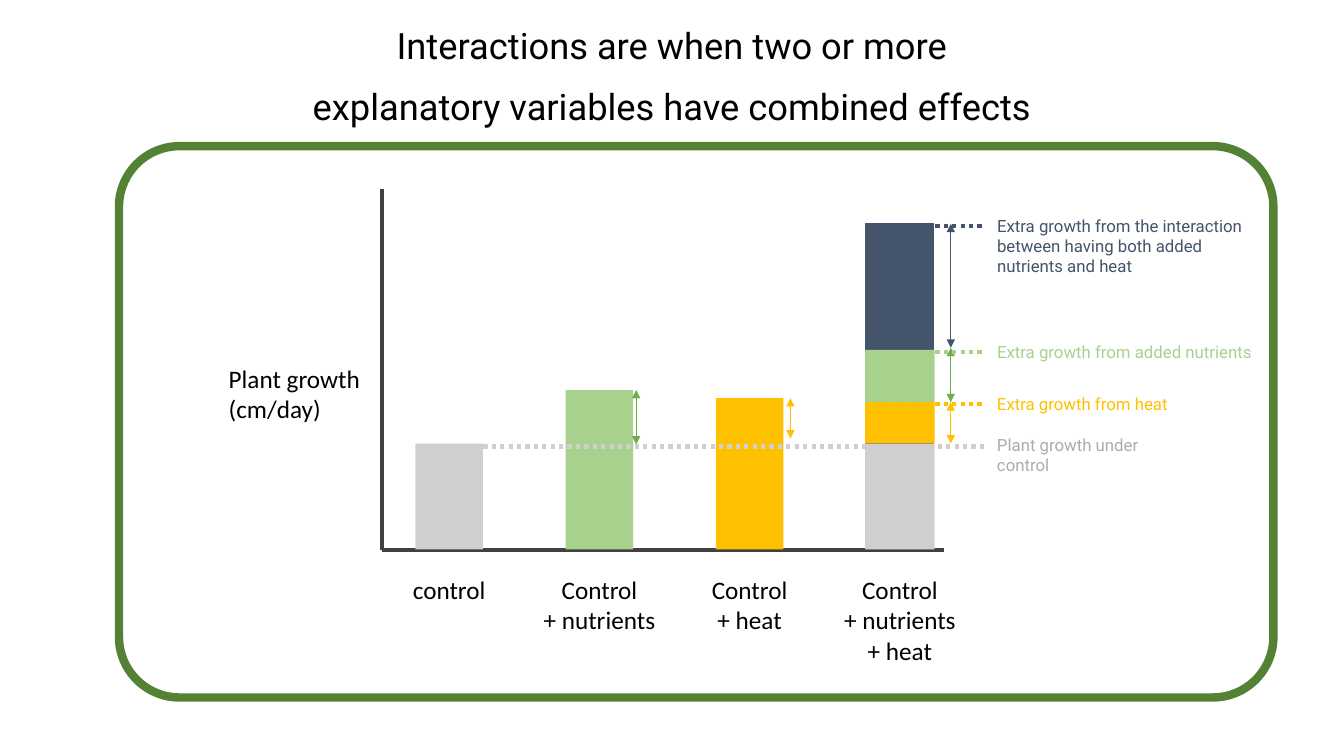
from dataclasses import dataclass

from lxml import etree
from pptx import Presentation
from pptx import util as u
from pptx.dml.color import RGBColor
from pptx.enum import dml, shapes, text
from pptx.oxml import ns

HUES = {
    "black": "000000", "frame": "548235", "axis": "404040",
    "grey": "D0CECE", "ash": "AFABAB", "green": "A9D18E",
    "leaf": "70AD47", "gold": "FFC000", "navy": "44546A",
}
BASE = 5.45
FIRST, PITCH, WIDE = 4.12, 1.49, 0.67
STACK = 8.58


@dataclass
class Bar:
    left: float
    top: float
    width: float
    height: float
    hue: str
    edge: str = ""


@dataclass
class Rule:
    x1: float
    y1: float
    x2: float
    y2: float
    hue: str
    size: float = 3
    dots: bool = False
    heads: bool = False


@dataclass
class Label:
    left: float
    top: float
    width: float
    height: float
    lines: list[str]
    hue: str = "black"
    font: str = "Calibri"
    size: float = 18
    mid: bool = False
    wrap: bool = False


def tint(name: str) -> RGBColor:
    return RGBColor.from_string(HUES[name])


def write(frame, lines: list[str], font: str, size: float, hue: str,
          align=text.PP_ALIGN.LEFT, space: float = 1.0) -> None:
    for i, line in enumerate(lines):
        para = frame.paragraphs[0] if i == 0 else frame.add_paragraph()
        para.alignment = align
        para.line_spacing = space
        run = para.add_run()
        run.text = line
        run.font.name = font
        run.font.size = u.Pt(size)
        run.font.color.rgb = tint(hue)


def add_bar(slide, bar: Bar) -> None:
    box = slide.shapes.add_shape(
        shapes.MSO_SHAPE.RECTANGLE, u.Inches(bar.left), u.Inches(bar.top),
        u.Inches(bar.width), u.Inches(bar.height))
    box.shadow.inherit = False
    box.fill.solid()
    box.fill.fore_color.rgb = tint(bar.hue)
    if bar.edge:
        box.line.color.rgb = tint(bar.edge)
        box.line.width = u.Pt(1)
    else:
        box.line.fill.background()


def add_rule(slide, rule: Rule) -> None:
    line = slide.shapes.add_connector(
        shapes.MSO_CONNECTOR.STRAIGHT, u.Inches(rule.x1), u.Inches(rule.y1),
        u.Inches(rule.x2), u.Inches(rule.y2))
    line.line.color.rgb = tint(rule.hue)
    line.line.width = u.Pt(rule.size)
    if rule.dots:
        line.line.dash_style = dml.MSO_LINE.ROUND_DOT
    if rule.heads:
        pen = line.line._get_or_add_ln()
        for tag in ("a:headEnd", "a:tailEnd"):
            etree.SubElement(pen, ns.qn(tag), type="triangle")
    etree.SubElement(line._element.spPr, ns.qn("a:effectLst"))


def add_label(slide, label: Label) -> None:
    box = slide.shapes.add_textbox(
        u.Inches(label.left), u.Inches(label.top),
        u.Inches(label.width), u.Inches(label.height))
    frame = box.text_frame
    frame.word_wrap = label.wrap
    frame.auto_size = text.MSO_AUTO_SIZE.SHAPE_TO_FIT_TEXT
    align = text.PP_ALIGN.CENTER if label.mid else text.PP_ALIGN.LEFT
    write(frame, label.lines, label.font, label.size, label.hue, align)


def add_title(slide) -> None:
    title = slide.shapes.title
    title.left, title.top = u.Inches(0), u.Inches(0)
    title.width, title.height = u.Inches(13.33), u.Inches(1.32)
    frame = title.text_frame
    frame.auto_size = text.MSO_AUTO_SIZE.NONE
    frame.vertical_anchor = text.MSO_ANCHOR.BOTTOM
    write(frame, ["Interactions are when two or more",
                  "explanatory variables have combined effects"],
          "Roboto", 25.9, "black", text.PP_ALIGN.CENTER, 1.4)


def add_frame(slide) -> None:
    box = slide.shapes.add_shape(
        shapes.MSO_SHAPE.ROUNDED_RECTANGLE, u.Inches(1.18), u.Inches(1.45),
        u.Inches(11.45), u.Inches(5.47))
    box.adjustments[0] = 0.11
    box.shadow.inherit = False
    box.fill.background()
    box.line.color.rgb = tint("frame")
    box.line.width = u.Pt(6)


def note(top: float, width: float, words: str, hue: str,
         height: float = 0.3, wrap: bool = False) -> Label:
    return Label(9.79, top, width, height, [words], hue, "Roboto", 12,
                 wrap=wrap)


def dots(left: float, y: float, hue: str) -> Rule:
    return Rule(left, y, 9.76, y, hue, dots=True)


def arrow(x: float, top: float, foot: float, hue: str) -> Rule:
    return Rule(x, top, x, foot, hue, 0.5, heads=True)


GROUPS = [  # bar top, hue, edge, label width, label lines
    (4.4, "grey", "", 0.93, ["control"]),
    (3.87, "green", "", 1.32, ["Control", "+ nutrients"]),
    (3.95, "gold", "", 0.96, ["Control", "+ heat"]),
    (2.22, "navy", "navy", 1.32, ["Control", "+ nutrients", "+ heat"]),
]
PARTS = [(3.99, 4.4, "gold"), (3.47, 3.99, "green"), (4.4, BASE, "grey")]
AXES = [Rule(3.79, 1.88, 3.79, 5.46, "axis"),
        Rule(9.36, 5.46, 3.79, 5.46, "axis")]
MARKS = [
    arrow(6.31, 3.87, 4.41, "leaf"),
    arrow(9.43, 3.45, 3.99, "leaf"),
    arrow(9.43, 3.99, 4.4, "gold"),
    arrow(7.84, 3.95, 4.35, "gold"),
    dots(4.46, 4.43, "grey"),
    dots(8.61, 4.01, "gold"),
    dots(8.61, 3.49, "green"),
    arrow(9.43, 2.22, 3.45, "navy"),
    dots(8.61, 2.24, "navy"),
]
NOTES = [
    note(4.26, 2.1, "Plant growth under control", "ash", 0.5, True),
    note(3.86, 1.9, "Extra growth from heat", "gold"),
    note(3.34, 2.78, "Extra growth from added nutrients", "green"),
    note(2.09, 2.79, "Extra growth from the interaction between having "
         "both added nutrients and heat", "navy", 0.71, True),
]


def main() -> None:
    deck = Presentation()
    deck.slide_width, deck.slide_height = u.Inches(13.33), u.Inches(7.5)
    slide = deck.slides.add_slide(deck.slide_layouts[5])
    add_title(slide)
    add_frame(slide)
    for axis in AXES:
        add_rule(slide, axis)
    add_label(slide, Label(2.17, 3.55, 1.52, 0.71,
                           ["Plant growth", "(cm/day)"]))
    for i, (top, hue, edge, width, lines) in enumerate(GROUPS):
        left = FIRST + i * PITCH
        add_bar(slide, Bar(left, top, WIDE, BASE - top, hue, edge))
        add_label(slide, Label(left + (WIDE - width) / 2, 5.65, width,
                               0.1 + 0.3 * len(lines), lines, mid=True))
    for top, foot, hue in PARTS:
        add_bar(slide, Bar(STACK, top, 0.69, foot - top, hue))
    for mark in MARKS:
        add_rule(slide, mark)
    for words in NOTES:
        add_label(slide, words)
    deck.save("out.pptx")


if __name__ == "__main__":
    main()
